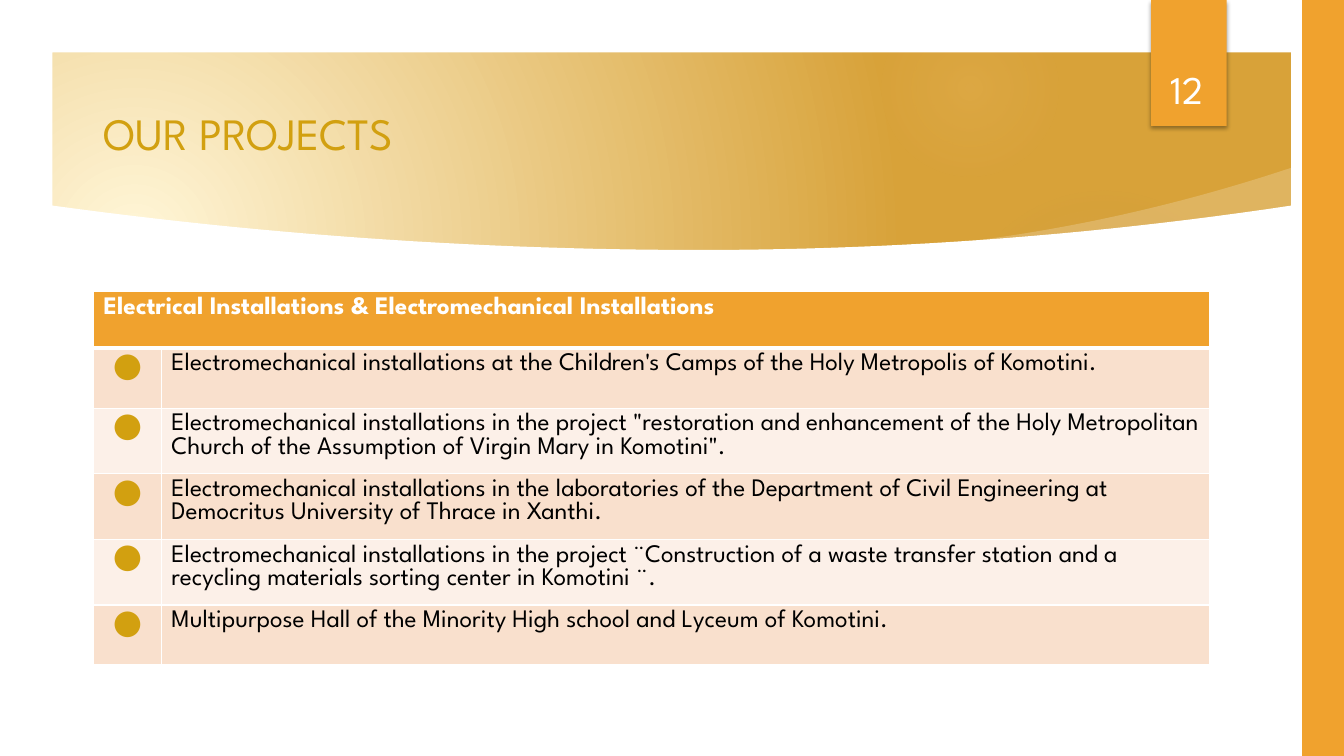
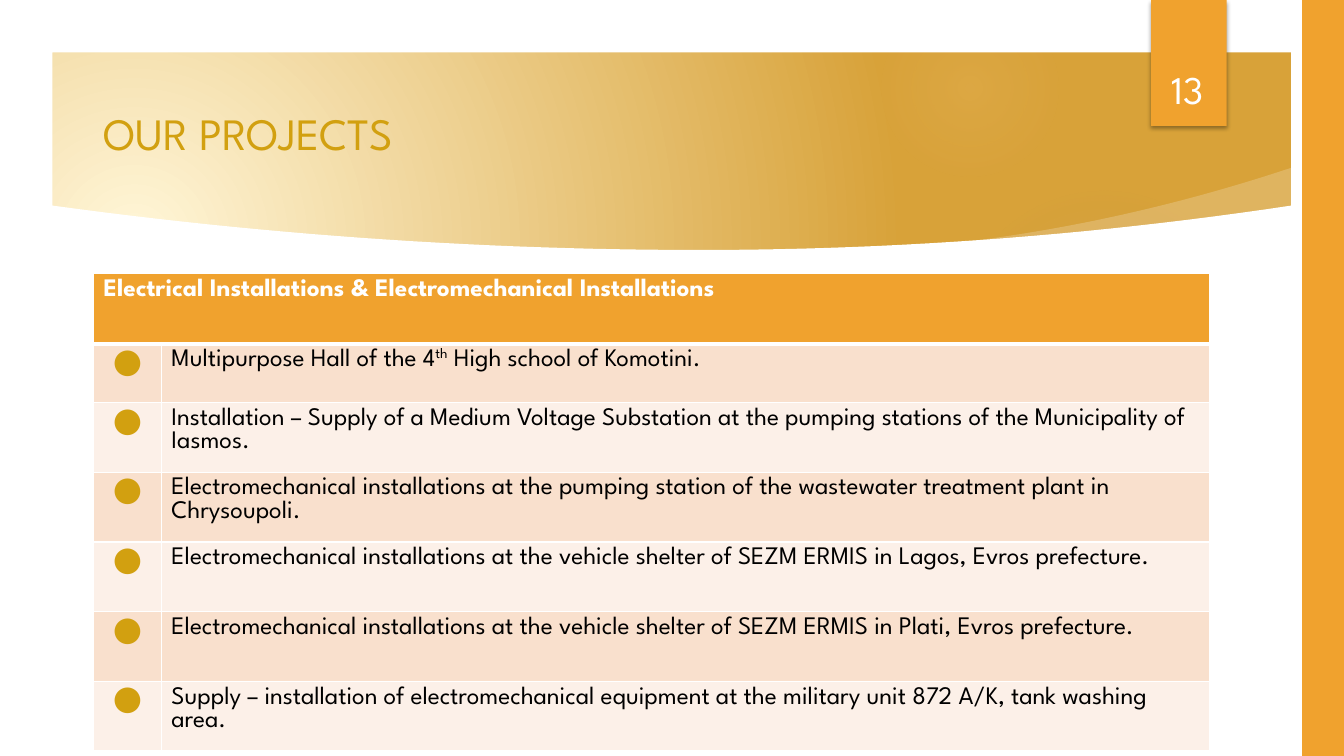
from lxml import etree
from pptx import Presentation
from pptx import util as u
from pptx.dml.color import RGBColor
from pptx.enum import shapes, text
from pptx.oxml.ns import qn

WIDTH, HEIGHT = u.Inches(13.33), u.Inches(7.5)
FONT = "League Spartan"
COLORS = {
    "accent": "F0A22E", "gold": "D2A010", "white": "FFFFFF", "black": "000000",
    "cream": "FFF6D8", "ochre": "D8A239", "taupe": "A19574", "amber": "F6C782",
    "odd_row": "F9E0CD", "even_row": "FCF0E8",
}

# All lengths below are percentages of the slide's width or height.
TITLE_BOX = (6.98, 2.67, 83.03, 19.07)
NUMBER_TAB = (85.65, 0, 5.63, 16.67)
NUMBER_BOX = (84.9, 4.27, 6.9, 11.2)
SIDE_BAR = (96.88, 0, 3.12, 100)
BANNER = {"left": 3.9, "right": 96.08, "top": 6.93, "edge": 27.2,
          "low_x": 52.1, "low_y": 33.07}
STREAK = {"left": 69.75, "right": 96.25, "top": 32.4}
GLOWS = [
    ((70.58, 24.4, 23.1, 41.07), [(0, "taupe", 7), (36, "taupe", 6), (69, "taupe", 0)]),
    ((65.63, 0, 13.13, 23.33), [(0, "amber", 14), (36, "amber", 7), (73, "amber", 0)]),
]
TABLE_LEFT = 6.96
TABLE_COLUMNS = (5.05, 77.97)
CELL_RIGHT_MARGIN = 0.6
CURVE_STEPS = 48

HEADING = "Electrical Installations & Electromechanical Installations"
# Text between two ^ marks is superscript.
PROJECT_SLIDES = [
    {
        "number": "12", "top": 38.6, "rows": [7.47] + [7.94] * 5,
        "projects": [
            "Electromechanical installations at the Children's Camps of the Holy Metropolis of Komotini.",
            'Electromechanical installations in the project "restoration and enhancement of the Holy '
            'Metropolitan Church of the Assumption of Virgin Mary in Komotini".',
            "Electromechanical installations in the laboratories of the Department of Civil Engineering "
            "at Democritus University of Thrace in Xanthi.",
            "Electromechanical installations in the project ¨Construction of a waste transfer station "
            "and a recycling materials sorting center in Komotini ¨.",
            "Multipurpose Hall of the Minority High school and Lyceum of Komotini.",
        ],
    },
    {
        "number": "13", "top": 36.2, "rows": [9.26, 7.8] + [9.22] * 5,
        "projects": [
            "Multipurpose Hall of the 4^th^ High school of Komotini.",
            "Installation – Supply of a Medium Voltage Substation at the pumping stations of the "
            "Municipality of Iasmos.",
            "Electromechanical installations at the pumping station of the wastewater treatment plant "
            "in Chrysoupoli.",
            "Electromechanical installations at the vehicle shelter of SEZM ERMIS in Lagos, Evros prefecture.",
            "Electromechanical installations at the vehicle shelter of SEZM ERMIS in Plati, Evros prefecture.",
            "Supply – installation of electromechanical equipment at the military unit 872 A/K, "
            "tank washing area.",
        ],
    },
]


def across(share):
    return round(WIDTH * share / 100)


def down(share):
    return round(HEIGHT * share / 100)


def place(box):
    left, top, width, height = box
    return across(left), down(top), across(width), down(height)


def rgb(name):
    return RGBColor.from_string(COLORS[name])


def add_color(parent, name, alpha=100):
    color = etree.SubElement(parent, qn("a:srgbClr"), val=COLORS[name])
    if alpha < 100:
        etree.SubElement(color, qn("a:alpha"), val=str(alpha * 1000))


def fill_radial(owner, fill, stops, focus):
    """Fill with a circular gradient; focus is its left, top, right, bottom in percent."""
    fill.gradient()
    gradient = owner.element.find(".//" + qn("a:gradFill"))
    for child in list(gradient):
        gradient.remove(child)
    stop_list = etree.SubElement(gradient, qn("a:gsLst"))
    for position, name, alpha in stops:
        stop = etree.SubElement(stop_list, qn("a:gs"), pos=str(position * 1000))
        add_color(stop, name, alpha)
    circle = etree.SubElement(gradient, qn("a:path"), path="circle")
    etree.SubElement(circle, qn("a:fillToRect"),
                     {side: str(share * 1000) for side, share in zip("ltrb", focus)})


def add_preset(slide, kind, box):
    shape = slide.shapes.add_shape(kind, *place(box))
    shape.shadow.inherit = False
    shape.line.fill.background()
    return shape


def add_bar(slide, box):
    bar = add_preset(slide, shapes.MSO_SHAPE.RECTANGLE, box)
    bar.fill.solid()
    bar.fill.fore_color.rgb = rgb("accent")
    return bar


def add_outline(slide, *contours, alpha=100):
    """Add a white shape from closed contours; a contour inside another is a hole."""
    contours = [[(across(x), down(y)) for x, y in contour] for contour in contours]
    builder = slide.shapes.build_freeform(*contours[0][0])
    for index, contour in enumerate(contours):
        if index:
            builder.move_to(*contour[0])
        builder.add_line_segments(contour[1:], close=True)
    shape = builder.convert_to_shape()
    shape.shadow.inherit = False
    shape.line.fill.background()
    shape.fill.solid()
    shape.fill.fore_color.rgb = rgb("white")
    if alpha < 100:
        color = shape.element.spPr.find(qn("a:solidFill"))[0]
        etree.SubElement(color, qn("a:alpha"), val=str(alpha * 1000))


def steps(start, end):
    return [start + (end - start) * i / CURVE_STEPS for i in range(CURVE_STEPS + 1)]


def banner_outline():
    """Flat top, with a lower edge that sags to its lowest point near the middle."""
    left, right, low_x = BANNER["left"], BANNER["right"], BANNER["low_x"]
    sag = BANNER["low_y"] - BANNER["edge"]
    points = [(left, BANNER["top"]), (right, BANNER["top"])]
    for x in steps(right, left):
        reach = right - low_x if x > low_x else low_x - left
        points.append((x, BANNER["low_y"] - sag * ((x - low_x) / reach) ** 2))
    return points


def streak_outline():
    left, right = STREAK["left"], STREAK["right"]
    points = []
    for x in steps(left, right):
        t = (x - left) / (right - left)
        points.append((x, STREAK["top"] - 4.9 * t - 5.4 * t ** 2))
    return points + [(right, 28.5), (left, 33.3)]


def style_font(font, size, color, bold=False):
    font.name, font.size, font.bold = FONT, u.Pt(size), bold
    font.color.rgb = rgb(color)


def add_label(slide, box, words, size, color, align=None):
    frame = slide.shapes.add_textbox(*place(box)).text_frame
    frame.word_wrap = True
    frame.vertical_anchor = text.MSO_ANCHOR.BOTTOM
    frame.text = words
    paragraph = frame.paragraphs[0]
    paragraph.alignment = align
    style_font(paragraph.font, size, color)


def add_shadow(shape):
    effects = shape.element.spPr.find(qn("a:effectLst"))
    shadow = etree.SubElement(effects, qn("a:outerShdw"), blurRad=str(u.Pt(3.1)),
                              dist=str(u.Pt(1.8)), dir="5400000", rotWithShape="0")
    add_color(shadow, "black", 35)


def draw_backdrop(slide):
    fill_radial(slide, slide.background.fill,
                [(0, "cream", 100), (100, "ochre", 100)], (45, 65, 125, 100))
    for box, stops in GLOWS:
        glow = add_preset(slide, shapes.MSO_SHAPE.OVAL, box)
        fill_radial(glow, glow.fill, stops, (50, 50, 50, 50))
    add_outline(slide, streak_outline(), alpha=20)
    add_outline(slide, [(0, 0), (0, 100), (100, 100), (100, 0)], banner_outline())
    add_shadow(add_bar(slide, NUMBER_TAB))
    add_bar(slide, SIDE_BAR)


def style_cell(cell, fill, top=1, bottom=1):
    """Set the fill and white borders; top and bottom are border widths in points."""
    properties = cell._tc.get_or_add_tcPr()
    for side, width in (("L", 1), ("R", 1), ("T", top), ("B", bottom)):
        border = etree.SubElement(properties, qn("a:ln" + side), w=str(u.Pt(width)))
        add_color(etree.SubElement(border, qn("a:solidFill")), "white")
    cell.fill.solid()
    cell.fill.fore_color.rgb = rgb(fill)
    cell.margin_bottom = 0


def write_cell(cell, words, size, color, bold=False, align=None):
    """Style each run, since row heights are measured from the runs' own fonts."""
    paragraph = cell.text_frame.paragraphs[0]
    paragraph.alignment = align
    for index, part in enumerate(words.split("^")):
        run = paragraph.add_run()
        run.text = part
        style_font(run.font, size, color, bold)
        if index % 2:
            run.font._element.set("baseline", "30000")


def add_projects(slide, top, rows, projects):
    box = (TABLE_LEFT, top, sum(TABLE_COLUMNS), sum(rows))
    table = slide.shapes.add_table(len(rows), len(TABLE_COLUMNS), *place(box)).table
    for column, share in zip(table.columns, TABLE_COLUMNS):
        column.width = across(share)
    for row, share in zip(table.rows, rows):
        row.height = down(share)

    for cell in table.rows[0].cells:
        style_cell(cell, "accent", bottom=3)
    heading = table.cell(0, 0)
    heading.merge(table.cell(0, 1))
    write_cell(heading, HEADING, 18, "white", bold=True)

    for number, project in enumerate(projects, 1):
        marker, description = table.cell(number, 0), table.cell(number, 1)
        for cell in (marker, description):
            style_cell(cell, "odd_row" if number % 2 else "even_row",
                       top=3 if number == 1 else 1)
        description.margin_right = across(CELL_RIGHT_MARGIN)
        write_cell(marker, "●", 24, "gold", align=text.PP_ALIGN.CENTER)
        write_cell(description, project, 18, "black")


def main():
    deck = Presentation()
    deck.slide_width, deck.slide_height = WIDTH, HEIGHT
    for content in PROJECT_SLIDES:
        slide = deck.slides.add_slide(deck.slide_layouts[6])
        draw_backdrop(slide)
        add_label(slide, TITLE_BOX, "OUR PROJECTS", 32, "gold")
        add_projects(slide, content["top"], content["rows"], content["projects"])
        add_label(slide, NUMBER_BOX, content["number"], 28, "white",
                  align=text.PP_ALIGN.CENTER)
    deck.save("out.pptx")


if __name__ == "__main__":
    main()
